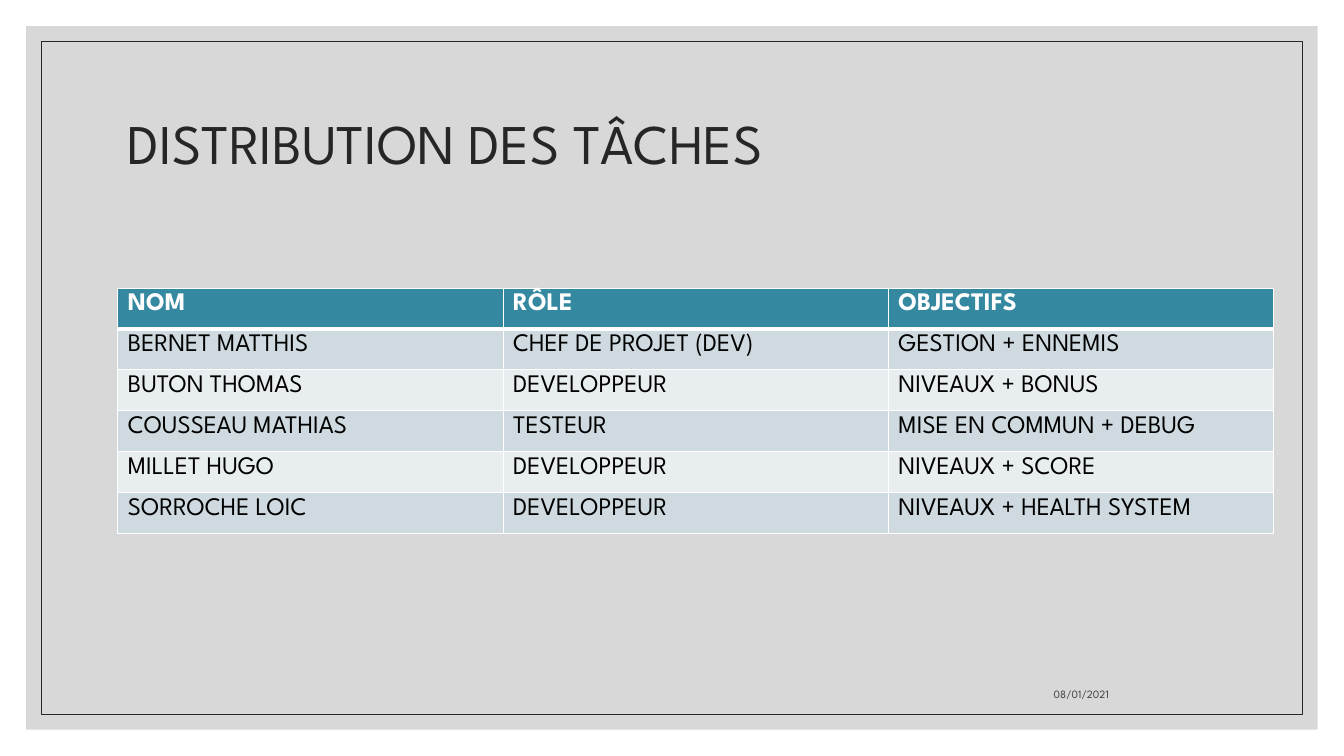
from dataclasses import dataclass

from lxml import etree
from pptx import Presentation
from pptx.dml.color import RGBColor
from pptx.enum.shapes import MSO_SHAPE
from pptx.enum.text import MSO_ANCHOR, PP_ALIGN
from pptx.oxml.ns import qn
from pptx.util import Cm, Pt

RECTANGLE = MSO_SHAPE.RECTANGLE
TOP, MIDDLE, BOTTOM = MSO_ANCHOR.TOP, MSO_ANCHOR.MIDDLE, MSO_ANCHOR.BOTTOM
LEFT, RIGHT = PP_ALIGN.LEFT, PP_ALIGN.RIGHT


@dataclass(frozen=True)
class Theme:
    font: str = "League Spartan"
    panel: str = "BFBFBF"
    panel_opacity: int = 60
    ink: str = "262626"
    date_ink: str = "404040"
    header_fill: str = "3488A0"
    header_ink: str = "FFFFFF"
    body_ink: str = "000000"
    bands: tuple = ("CEDADF", "E8EDF0")
    border: str = "FFFFFF"
    title_size: int = 40
    table_size: int = 18
    date_size: int = 8
    border_width: int = 1
    header_rule_width: int = 3


THEME = Theme()

# Boxes are left, top, width, height in centimetres
SLIDE_BOX = (0, 0, 33.87, 19.05)
TITLE_BOX = (2.97, 1.78, 27.94, 3.81)
TABLE_BOX = (2.97, 7.26, 29.13, 6.18)
DATE_BOX = (20.17, 16.76, 8.03, 1.02)
PANEL_MARGIN = 0.66
FRAME_MARGIN = 1.04

TASKS = [
    ("NOM", "RÔLE", "OBJECTIFS"),
    ("BERNET MATTHIS", "CHEF DE PROJET (DEV)", "GESTION + ENNEMIS"),
    ("BUTON THOMAS", "DEVELOPPEUR", "NIVEAUX + BONUS"),
    ("COUSSEAU MATHIAS", "TESTEUR", "MISE EN COMMUN + DEBUG"),
    ("MILLET HUGO", "DEVELOPPEUR", "NIVEAUX + SCORE"),
    ("SORROCHE LOIC", "DEVELOPPEUR", "NIVEAUX + HEALTH SYSTEM"),
]


def set_attributes(target, values):
    for name, value in values.items():
        setattr(target, name, value)


def write_text(text_frame, text, size, color, bold=False, align=LEFT, spacing=1.0):
    paragraph = text_frame.paragraphs[0]
    set_attributes(paragraph, {"alignment": align, "line_spacing": spacing})
    run = paragraph.add_run()
    run.text = text
    set_attributes(run.font, {"name": THEME.font, "size": Pt(size), "bold": bold})
    run.font.color.rgb = RGBColor.from_string(color)


def add_inset_rectangle(slide, box, margin):
    left, top, width, height = box
    shape = slide.shapes.add_shape(
        RECTANGLE, Cm(left + margin), Cm(top + margin),
        Cm(width - 2 * margin), Cm(height - 2 * margin))
    shape.shadow.inherit = False
    return shape


def add_background(slide, box):
    # Translucent grey panel
    panel = add_inset_rectangle(slide, box, PANEL_MARGIN)
    panel.fill.solid()
    panel.fill.fore_color.rgb = RGBColor.from_string(THEME.panel)
    panel.line.fill.background()
    color = panel.fill._xPr.find(qn("a:solidFill"))[0]
    etree.SubElement(color, qn("a:alpha"), val=str(THEME.panel_opacity * 1000))

    # Thin frame
    frame = add_inset_rectangle(slide, box, FRAME_MARGIN)
    frame.fill.background()
    frame.line.color.rgb = RGBColor.from_string(THEME.ink)
    frame.line.width = Pt(0.5)


def add_text(slide, box, text, size, color, anchor, **paragraph_format):
    text_box = slide.shapes.add_textbox(*map(Cm, box))
    set_attributes(text_box.text_frame, {"word_wrap": True, "vertical_anchor": anchor})
    write_text(text_box.text_frame, text, size, color, **paragraph_format)


def set_borders(cell, widths):
    properties = cell._tc.get_or_add_tcPr()
    for side, width in widths.items():
        line = etree.SubElement(properties, qn(f"a:ln{side}"), w=str(Pt(width)))
        fill = etree.SubElement(line, qn("a:solidFill"))
        etree.SubElement(fill, qn("a:srgbClr"), val=THEME.border)


def add_task_table(slide, box, rows):
    table = slide.shapes.add_table(len(rows), len(rows[0]), *map(Cm, box)).table
    for column in table.columns:
        column.width = Cm(box[2] / len(rows[0]))
    for row in table.rows:
        row.height = Cm(box[3] / len(rows))

    for row_index, values in enumerate(rows):
        is_header = row_index == 0
        fill = THEME.header_fill if is_header else THEME.bands[(row_index - 1) % 2]
        ink = THEME.header_ink if is_header else THEME.body_ink
        # The header rule is shared by the first two rows
        widths = dict.fromkeys("LRTB", THEME.border_width)
        if row_index < 2:
            widths["B" if is_header else "T"] = THEME.header_rule_width
        for column_index, value in enumerate(values):
            cell = table.cell(row_index, column_index)
            cell.vertical_anchor = TOP
            set_borders(cell, widths)
            cell.fill.solid()
            cell.fill.fore_color.rgb = RGBColor.from_string(fill)
            write_text(cell.text_frame, value, THEME.table_size, ink, bold=is_header)


def main():
    presentation = Presentation()
    set_attributes(presentation, {"slide_width": Cm(SLIDE_BOX[2]),
                                  "slide_height": Cm(SLIDE_BOX[3])})
    slide = presentation.slides.add_slide(presentation.slide_layouts[6])
    add_background(slide, SLIDE_BOX)
    add_text(slide, TITLE_BOX, "DISTRIBUTION DES TÂCHES", THEME.title_size,
             THEME.ink, MIDDLE, spacing=0.9)
    add_text(slide, DATE_BOX, "08/01/2021", THEME.date_size,
             THEME.date_ink, BOTTOM, align=RIGHT)
    add_task_table(slide, TABLE_BOX, TASKS)
    presentation.save("out.pptx")


if __name__ == "__main__":
    main()
